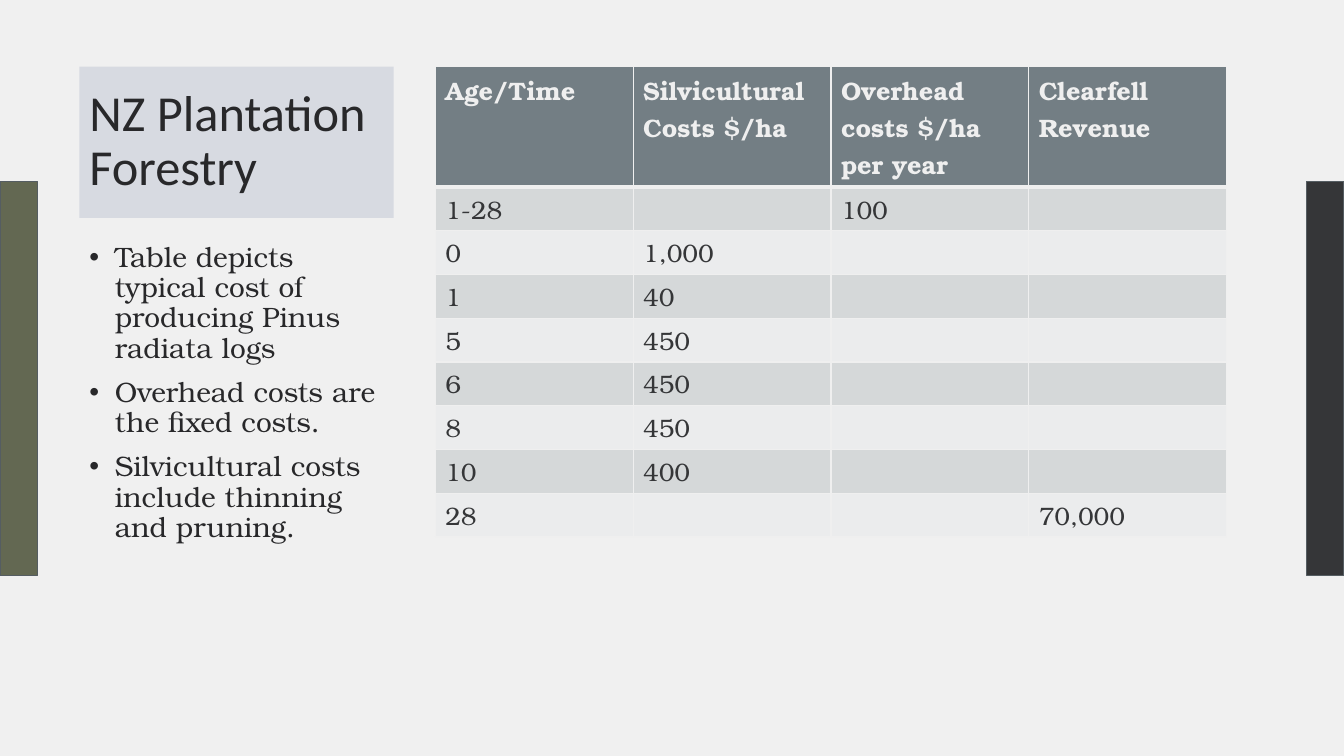
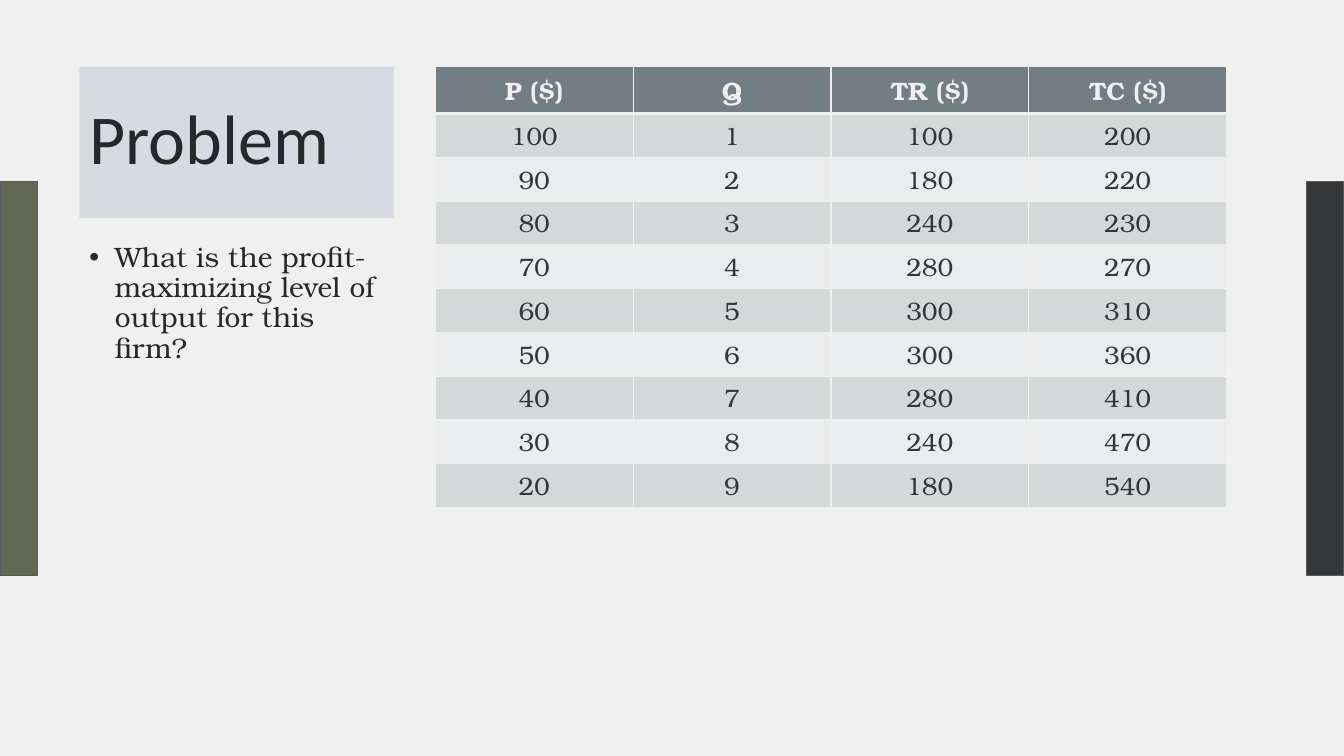
"""Build two forestry economics slides, each with a title, bullets and a table."""
import lxml.etree
import pptx
import pptx.dml.color
import pptx.enum.shapes
import pptx.enum.text
import pptx.oxml.ns
import pptx.util

Cm, Pt = pptx.util.Cm, pptx.util.Pt
ALIGN = pptx.enum.text.PP_ALIGN
ANCHOR = pptx.enum.text.MSO_ANCHOR
qn = pptx.oxml.ns.qn

COLORS = {
    "background": "F0F0F0", "left_band": "636852", "right_band": "353638",
    "band_line": "555D62", "title_fill": "D7DAE1", "text": "28282A",
    "header": "737E84", "odd_row": "D5D8D9", "even_row": "EBECED",
    "border": "EFEFEF", "cell_text": "353638",
}
SERIF = "TeX Gyre Bonum"
FONTS = {
    "title": {"name": "Calibri", "color": "text"},
    "body": {"name": SERIF, "size": Pt(20), "color": "text"},
    "header": {"name": SERIF, "size": Pt(18), "bold": True, "color": "border"},
    "cell": {"name": SERIF, "size": Pt(18), "bold": False, "color": "cell_text"},
}
WIDTH, HEIGHT = Cm(33.87), Cm(19.05)
TOP = Cm(1.68)
TITLE_BOX = (Cm(2), TOP, Cm(7.92), Cm(3.81))
BODY_BOX = (Cm(2), Cm(6), Cm(7.92), Cm(9.53))
TABLE_LEFT, TABLE_WIDTH, ROW_HEIGHT = Cm(10.97), Cm(19.94), Cm(1.03)
BAND_TOP, BAND_WIDTH, BAND_HEIGHT = Cm(4.57), Cm(0.95), Cm(9.93)

SLIDES = [
    {
        "title": "NZ Plantation Forestry",
        "title_size": 36,
        "bullets": [
            "Table depicts typical cost of producing Pinus radiata logs",
            "Overhead costs are the fixed costs.",
            "Silvicultural costs include thinning and pruning.",
        ],
        "align": ALIGN.LEFT,
        "rows": [
            ["Age/Time", "Silvicultural Costs $/ha", "Overhead costs $/ha per year",
             "Clearfell Revenue"],
            ["1-28", "", "100", ""],
            ["0", "1,000", "", ""],
            ["1", "40", "", ""],
            ["5", "450", "", ""],
            ["6", "450", "", ""],
            ["8", "450", "", ""],
            ["10", "400", "", ""],
            ["28", "", "", "70,000"],
        ],
    },
    {
        "title": "Problem",
        "title_size": 50,
        "bullets": ["What is the profit-maximizing level of output for this firm?"],
        "align": ALIGN.CENTER,
        "rows": [
            ["P ($)", "Q", "TR ($)", "TC ($)"],
            ["100", "1", "100", "200"],
            ["90", "2", "180", "220"],
            ["80", "3", "240", "230"],
            ["70", "4", "280", "270"],
            ["60", "5", "300", "310"],
            ["50", "6", "300", "360"],
            ["40", "7", "280", "410"],
            ["30", "8", "240", "470"],
            ["20", "9", "180", "540"],
        ],
    },
]


def rgb(name):
    """Return the named palette colour."""
    return pptx.dml.color.RGBColor.from_string(COLORS[name])


def set_format(obj, values):
    """Set attributes from a dict; a colour key names a palette entry."""
    for key, value in values.items():
        if key == "color":
            obj.color.rgb = rgb(value)
        else:
            setattr(obj, key, value)


prs = pptx.Presentation()
prs.slide_width, prs.slide_height = WIDTH, HEIGHT
master = prs.slide_master
master.background.fill.solid()
master.background.fill.fore_color.rgb = rgb("background")
slides = [prs.slides.add_slide(prs.slide_layouts[1]) for _ in SLIDES]

bands = [("left_band", 0), ("right_band", WIDTH - BAND_WIDTH)]
for i, (name, left) in enumerate(bands):
    sp = slides[0].shapes.add_shape(
        pptx.enum.shapes.MSO_SHAPE.RECTANGLE, left, BAND_TOP, BAND_WIDTH, BAND_HEIGHT)
    sp.shadow.inherit = False
    sp.fill.solid()
    sp.fill.fore_color.rgb = rgb(name)
    set_format(sp.line, {"color": "band_line", "width": Pt(1)})
    sp.element.nvSpPr.cNvPr.set("id", str(20 + i))
    master.shapes.element.insert(2 + i, sp.element)

for s, data in zip(slides, SLIDES):
    title, body = s.shapes.title, s.placeholders[1]
    for sp, box, anchor in [(title, TITLE_BOX, ANCHOR.MIDDLE), (body, BODY_BOX, ANCHOR.TOP)]:
        set_format(sp, dict(zip(("left", "top", "width", "height"), box)))
        set_format(sp.text_frame, {
            "word_wrap": True, "vertical_anchor": anchor,
            "auto_size": pptx.enum.text.MSO_AUTO_SIZE.NONE})

    title.fill.solid()
    title.fill.fore_color.rgb = rgb("title_fill")
    title.text_frame.text = data["title"]
    p = title.text_frame.paragraphs[0]
    set_format(p, {"alignment": ALIGN.LEFT, "line_spacing": 0.9})
    set_format(p.runs[0].font, {**FONTS["title"], "size": Pt(data["title_size"])})

    body.text_frame.text = "\n".join(data["bullets"])
    for i, p in enumerate(body.text_frame.paragraphs):
        pPr = p._p.get_or_add_pPr()
        pPr.set("marL", str(Cm(0.64)))
        pPr.set("indent", str(-Cm(0.64)))
        lxml.etree.SubElement(pPr, qn("a:buChar"), char="•")
        set_format(p, {"line_spacing": 0.9, "space_before": Pt(10 if i else 0)})
        set_format(p.runs[0].font, FONTS["body"])

    rows = data["rows"]
    table = s.shapes.add_table(
        len(rows), len(rows[0]), TABLE_LEFT, TOP, TABLE_WIDTH, ROW_HEIGHT * len(rows)).table
    for i, row in enumerate(rows):
        fill = "header" if i == 0 else "odd_row" if i % 2 else "even_row"
        thick = {0: "lnB", 1: "lnT"}.get(i)
        for j, text in enumerate(row):
            cell = table.cell(i, j)
            tcPr = cell._tc.get_or_add_tcPr()
            for side in ("lnL", "lnR", "lnT", "lnB"):
                ln = lxml.etree.SubElement(
                    tcPr, qn("a:" + side), w=str(Pt(3 if side == thick else 1)))
                solid = lxml.etree.SubElement(ln, qn("a:solidFill"))
                lxml.etree.SubElement(solid, qn("a:srgbClr"), val=COLORS["border"])
            cell.fill.solid()
            cell.fill.fore_color.rgb = rgb(fill)
            cell.text = text
            p = cell.text_frame.paragraphs[0]
            p.alignment = data["align"]
            for r in p.runs:
                set_format(r.font, FONTS["cell" if i else "header"])

prs.save("out.pptx")
